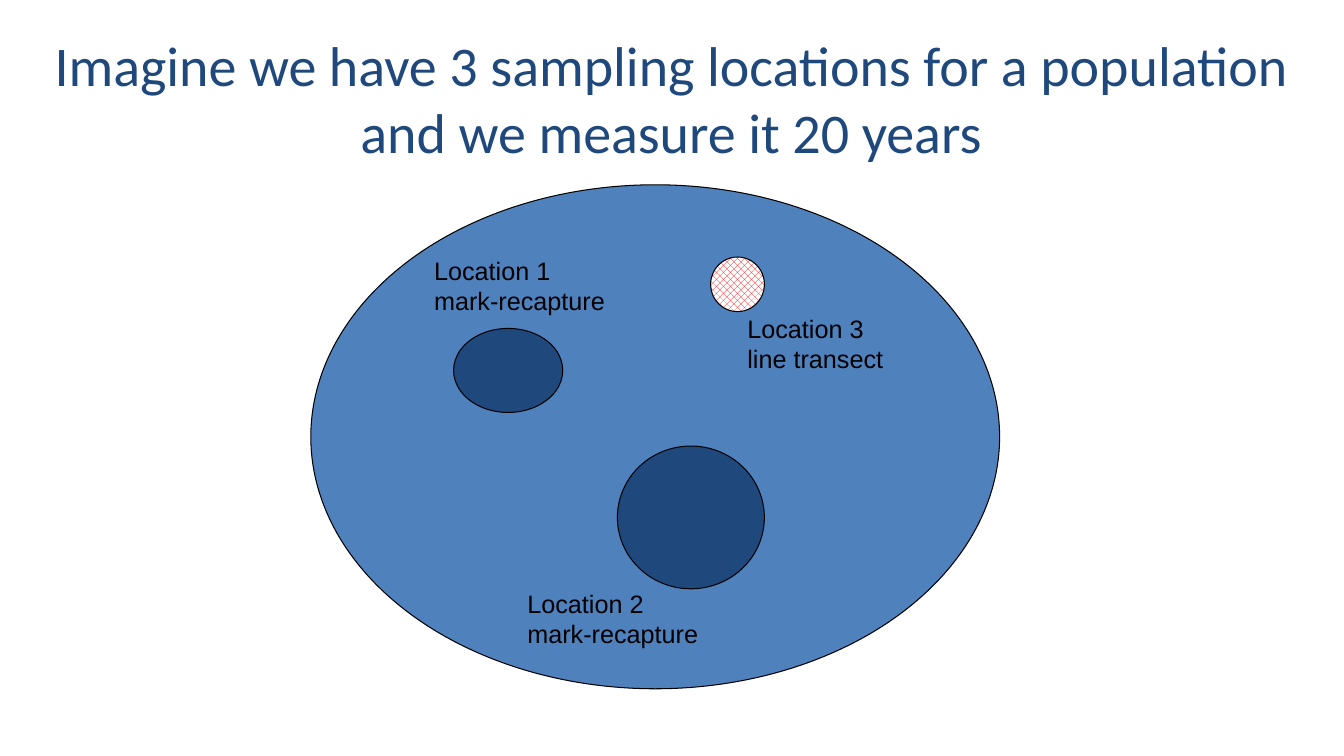
from pptx import Presentation
from pptx.dml.color import RGBColor
from pptx.enum.dml import MSO_PATTERN
from pptx.enum.shapes import MSO_SHAPE
from pptx.enum.text import MSO_ANCHOR, MSO_AUTO_SIZE, PP_ALIGN
from pptx.util import Inches, Pt

OVAL = MSO_SHAPE.OVAL
DOTS = MSO_PATTERN.PERCENT_50
MIDDLE = MSO_ANCHOR.MIDDLE
GROW = MSO_AUTO_SIZE.SHAPE_TO_FIT_TEXT
CENTER = PP_ALIGN.CENTER

NAVY = RGBColor(0x1F, 0x49, 0x7D)
BLUE = RGBColor(0x4F, 0x81, 0xBD)
RED = RGBColor(0xFF, 0x00, 0x00)
WHITE = RGBColor(0xFF, 0xFF, 0xFF)
BLACK = RGBColor(0x00, 0x00, 0x00)

# Grid of 160 columns by 90 rows
CELL = Inches(1) / 12
deck = Presentation()
deck.slide_width = int(160 * CELL)
deck.slide_height = int(90 * CELL)
slide = deck.slides.add_slide(deck.slide_layouts[6])


def place(*cells):
    return [int(n * CELL) for n in cells]


def write(box, text, font, size, color):
    frame = box.text_frame
    frame.text = text
    for par in frame.paragraphs:
        for run in par.runs:
            run.font.name = font
            run.font.size = Pt(size)
            run.font.color.rgb = color
    return frame


# Title
title = slide.shapes.add_textbox(*place(5, 4.1, 149.8, 15))
frame = write(
    title,
    "Imagine we have 3 sampling locations for a population\v"
    "and we measure it 20 years",
    "Calibri", 40, NAVY)
frame.word_wrap = True
frame.vertical_anchor = MIDDLE
frame.paragraphs[0].alignment = CENTER

# Population area and the sampling sites inside it
ovals = [
    ((37, 22, 82, 60), BLUE),
    ((54, 39.1, 13, 10), NAVY),
    ((73.5, 53.1, 17.5, 17), NAVY),
    ((84.6, 30.6, 6.4, 6.5), None),
]
for cells, color in ovals:
    oval = slide.shapes.add_shape(OVAL, *place(*cells))
    oval.shadow.inherit = False
    oval.line.color.rgb = BLACK
    oval.line.width = Pt(0.75)
    if color:
        oval.fill.solid()
        oval.fill.fore_color.rgb = color
    else:
        oval.fill.patterned()
        oval.fill.pattern = DOTS
        oval.fill.fore_color.rgb = RED
        oval.fill.back_color.rgb = WHITE

# Site labels: column, row, width, method
labels = [
    (50.5, 29.8, 22.9, "mark-recapture"),
    (61.6, 69.4, 22.9, "mark-recapture"),
    (87.8, 36.7, 18.7, "line transect"),
]
for num, (col, row, width, method) in enumerate(labels, 1):
    label = slide.shapes.add_textbox(*place(col, row, width, 8.5))
    frame = write(label, f"Location {num}\n{method}", "Arial", 18, BLACK)
    frame.word_wrap = False
    frame.auto_size = GROW

deck.save("out.pptx")
